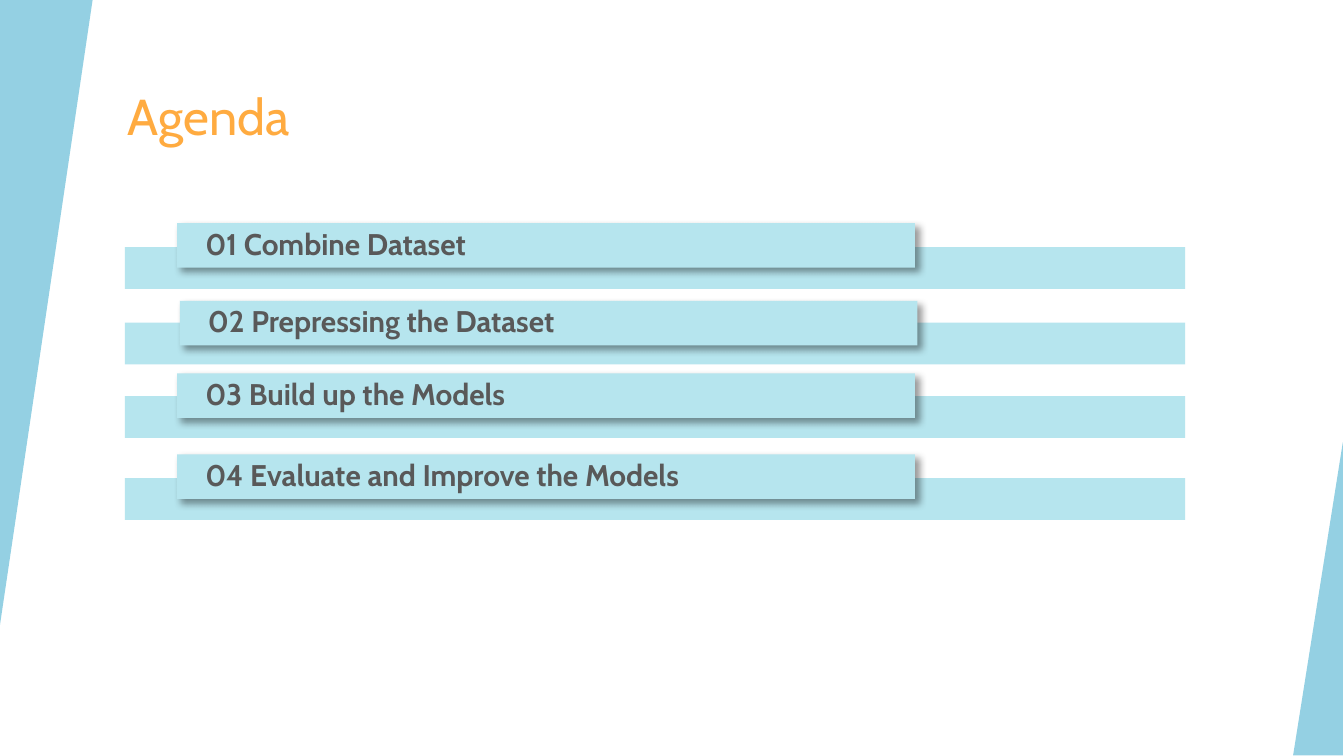
import dataclasses

import pptx
import pptx.dml.color
import pptx.enum.shapes
import pptx.enum.text
import pptx.oxml
import pptx.oxml.ns
import pptx.util
from pptx.util import Cm, Pt


@dataclasses.dataclass(frozen=True)
class Theme:
    font: str = "Cabin"
    edge: str = "94D0E3"
    bar: str = "B6E5EE"
    title: str = "FFAB40"
    label: str = "595959"
    title_size: int = 27
    label_size: int = 16
    line_spacing: float = 0.9


THEME = Theme()

# Agenda entries: text, top of bar, left and top of label (cm)
AGENDA = [
    ("01 Combine Dataset", 4.67, 3.35, 4.22),
    ("02 Prepressing the Dataset", 6.10, 3.40, 5.69),
    ("03 Build up the Models", 7.49, 3.35, 7.06),
    ("04 Evaluate and Improve the Models", 9.04, 3.35, 8.59),
]


def rgb(value):
    return pptx.dml.color.RGBColor.from_string(value)


def add_block(shapes, kind, box, color):
    """Add a flat, borderless preset shape; box is in centimetres."""
    block = shapes.add_shape(kind, *map(Cm, box))
    block.shadow.inherit = False
    block.fill.solid()
    block.fill.fore_color.rgb = rgb(color)
    block.line.fill.background()
    return block


def add_edge_triangle(slide, box, apex, rotation=0, flipped=False):
    triangle = add_block(
        slide.shapes, pptx.enum.shapes.MSO_SHAPE.ISOSCELES_TRIANGLE, box, THEME.edge)
    triangle.adjustments[0] = apex
    triangle.rotation = rotation
    if flipped:
        triangle._element.spPr.xfrm.set("flipH", "1")


def format_text(frame, text, size, color, bold=False):
    frame.text = text
    frame.word_wrap = True
    paragraph = frame.paragraphs[0]
    paragraph.alignment = pptx.enum.text.PP_ALIGN.LEFT
    paragraph.line_spacing = THEME.line_spacing
    paragraph.font.name = THEME.font
    paragraph.font.size = Pt(size)
    paragraph.font.bold = bold
    paragraph.font.color.rgb = rgb(color)


def set_margins(frame, side, vertical):
    frame.margin_left = frame.margin_right = Cm(side)
    frame.margin_top = frame.margin_bottom = Cm(vertical)


def add_drop_shadow(shape):
    effects = shape._element.spPr.find(pptx.oxml.ns.qn("a:effectLst"))
    effects.append(pptx.oxml.parse_xml(
        f'<a:outerShdw {pptx.oxml.ns.nsdecls("a")} blurRad="{Pt(4)}" dist="{Pt(3)}" '
        'dir="2700000" algn="tl" rotWithShape="0">'
        '<a:srgbClr val="000000"><a:alpha val="40000"/></a:srgbClr></a:outerShdw>'))


def set_title(slide, text):
    title = slide.shapes.title
    title.left, title.top, title.width, title.height = map(Cm, (1.37, 1.63, 17.91, 1.83))
    frame = title.text_frame
    format_text(frame, text, THEME.title_size, THEME.title)
    frame.auto_size = pptx.enum.text.MSO_AUTO_SIZE.NONE
    frame.vertical_anchor = pptx.enum.text.MSO_ANCHOR.TOP
    set_margins(frame, 0.18, 0.1)
    frame.margin_left = Cm(1.04)  # lines the title up with the bars


def add_agenda_entry(shapes, text, bar_top, label_left, label_top):
    rectangle = pptx.enum.shapes.MSO_SHAPE.RECTANGLE
    add_block(shapes, rectangle, (2.36, bar_top, 20.04, 0.79), THEME.bar)
    label = add_block(shapes, rectangle, (label_left, label_top, 13.94, 0.84), THEME.bar)
    add_drop_shadow(label)
    frame = label.text_frame
    format_text(frame, text, THEME.label_size, THEME.label, bold=True)
    frame.vertical_anchor = pptx.enum.text.MSO_ANCHOR.MIDDLE
    set_margins(frame, 0.53, 0)


def main():
    deck = pptx.Presentation()
    deck.slide_width, deck.slide_height = Cm(25.4), Cm(14.29)
    slide = deck.slides.add_slide(deck.slide_layouts[5])

    # Slanted edges
    add_edge_triangle(slide, (0, 0, 1.75, 11.81), apex=1, rotation=180)
    add_edge_triangle(slide, (24.44, 8.36, 0.94, 5.92), apex=0, flipped=True)

    # Heading
    set_title(slide, "Agenda")

    # Agenda list
    agenda = slide.shapes.add_group_shape()
    for entry in AGENDA:
        add_agenda_entry(agenda.shapes, *entry)

    deck.save("out.pptx")


if __name__ == "__main__":
    main()
